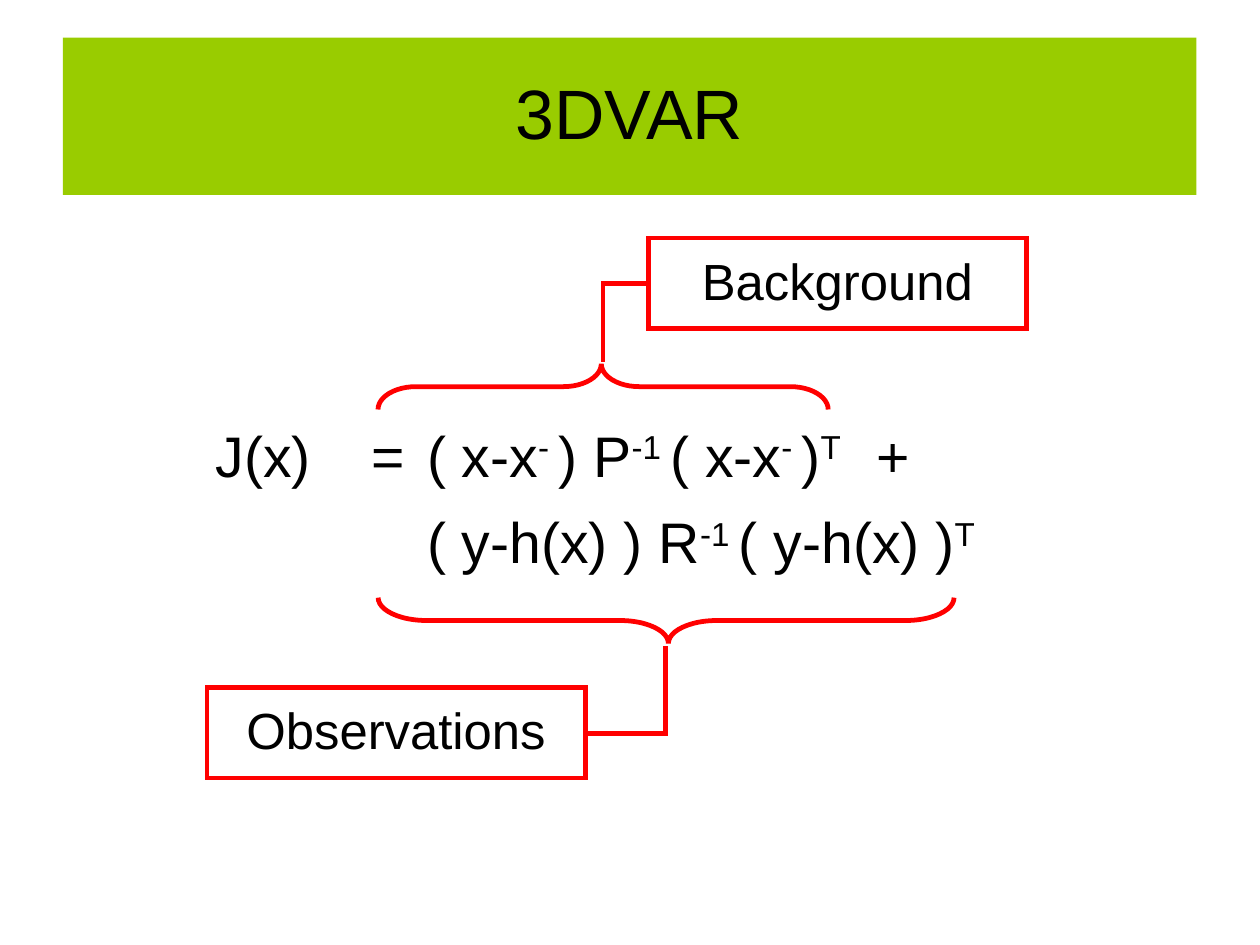
from lxml import etree
from pptx import Presentation
from pptx.dml.color import RGBColor
from pptx.enum.shapes import MSO_CONNECTOR, MSO_SHAPE
from pptx.enum.text import MSO_ANCHOR, PP_ALIGN
from pptx.oxml.ns import qn
from pptx.util import Cm, Inches, Pt

RECTANGLE, BRACE = MSO_SHAPE.RECTANGLE, MSO_SHAPE.LEFT_BRACE
ELBOW = MSO_CONNECTOR.ELBOW
MIDDLE = MSO_ANCHOR.MIDDLE
LEFT, CENTER = PP_ALIGN.LEFT, PP_ALIGN.CENTER

THEME = {
    "font": "Arial",
    "text": RGBColor(0, 0, 0),
    "banner": RGBColor(0x99, 0xCC, 0),
    "accent": RGBColor(0xFF, 0, 0),
    "title": Pt(44),
    "formula": Pt(36),
    "label": Pt(32),
    "line": Pt(3),
}

presentation = Presentation()
presentation.slide_width = Cm(28)
presentation.slide_height = Cm(21)
slide = presentation.slides.add_slide(presentation.slide_layouts[6])
column = presentation.slide_width / 100
row = presentation.slide_height / 100


def place(*shares):
    return [round(share * unit) for share, unit in zip(shares, (column, row) * 2)]


def write(shape, lines, size, alignment, space_after=0, tabs=(), inset_top=0):
    frame = shape.text_frame
    frame_format = {"word_wrap": True, "vertical_anchor": MIDDLE, "margin_left": 0,
                    "margin_right": 0, "margin_top": inset_top, "margin_bottom": 0}
    for name, value in frame_format.items():
        setattr(frame, name, value)
    for index, pieces in enumerate(lines):
        paragraph = frame.add_paragraph() if index else frame.paragraphs[0]
        paragraph_format = {"alignment": alignment, "line_spacing": 0.93,
                            "space_before": Pt(0), "space_after": Pt(space_after)}
        for name, value in paragraph_format.items():
            setattr(paragraph, name, value)
        if tabs:
            properties = paragraph._p.get_or_add_pPr()
            stops = etree.SubElement(properties, qn("a:tabLst"))
            for tab in tabs:
                etree.SubElement(stops, qn("a:tab"), pos=str(round(tab * column)), algn="l")
        for position, piece in enumerate(pieces):
            run = paragraph.add_run()
            run.text = piece
            run.font.name = THEME["font"]
            run.font.size = size
            run.font.color.rgb = THEME["text"]
            if position % 2:
                run.font._element.set("baseline", "30000")


title = slide.shapes.add_shape(RECTANGLE, *place(5, 3.98, 89.95, 16.65))
title.shadow.inherit = False
title.fill.solid()
title.fill.fore_color.rgb = THEME["banner"]
title.line.fill.background()
write(title, [["3DVAR"]], THEME["title"], CENTER)

FORMULA = [
    ["J(x) \t=\t( x-x", "- ", ") P", "-1 ", "( x-x", "- ", ")", "T \t", "+"],
    ["\t\t( y-h(x) ) R", "-1 ", "( y-h(x) )", "T"],
]
formula = slide.shapes.add_textbox(*place(17.1, 40.5, 62.16, 24.67))
write(formula, FORMULA, THEME["formula"], LEFT, 14.2, (12.35, 16.8, 52.48), Inches(0.03))

CALLOUTS = [
    {"text": "Background", "label": (51.45, 25.2), "brace": (46.05, 17.1, 3.63, 47.64),
     "rotation": 90, "curl": 0.83, "elbow": (51.27, 29.99, 47.87, 38.3)},
    {"text": "Observations", "label": (16.42, 72.79), "brace": (51.05, 35.19, 3.63, 60.94),
     "rotation": 270, "curl": 1.06, "elbow": (46.6, 77.6, 52.83, 68.32)},
]
for callout in CALLOUTS:
    brace = slide.shapes.add_shape(BRACE, *place(*callout["brace"]))
    brace.rotation = callout["rotation"]
    brace.adjustments[0] = callout["curl"]
    brace.adjustments[1] = 0.504

    label = slide.shapes.add_shape(RECTANGLE, *place(*callout["label"], 30.04, 9.55))
    write(label, [[callout["text"]]], THEME["label"], CENTER)
    for shape in (brace, label):
        shape.shadow.inherit = False
        shape.fill.background()

    elbow = slide.shapes.add_connector(ELBOW, *place(*callout["elbow"]))
    properties = elbow._element.spPr
    properties.find(qn("a:prstGeom")).set("prst", "bentConnector2")
    for shape in (brace, label, elbow):
        shape.line.color.rgb = THEME["accent"]
        shape.line.width = THEME["line"]
        outline = shape._element.spPr.find(qn("a:ln"))
        etree.SubElement(outline, qn("a:miter"), lim="800000")
    etree.SubElement(properties, qn("a:effectLst"))

presentation.save("out.pptx")
